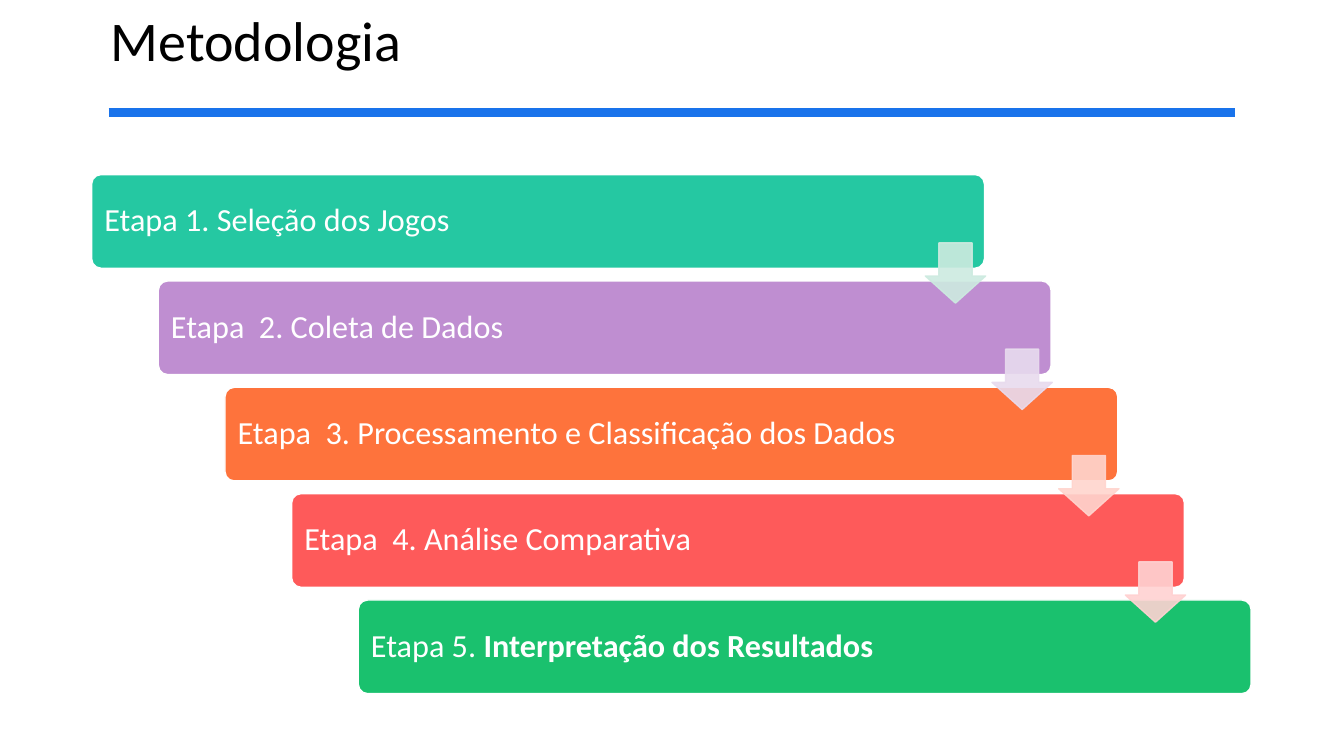
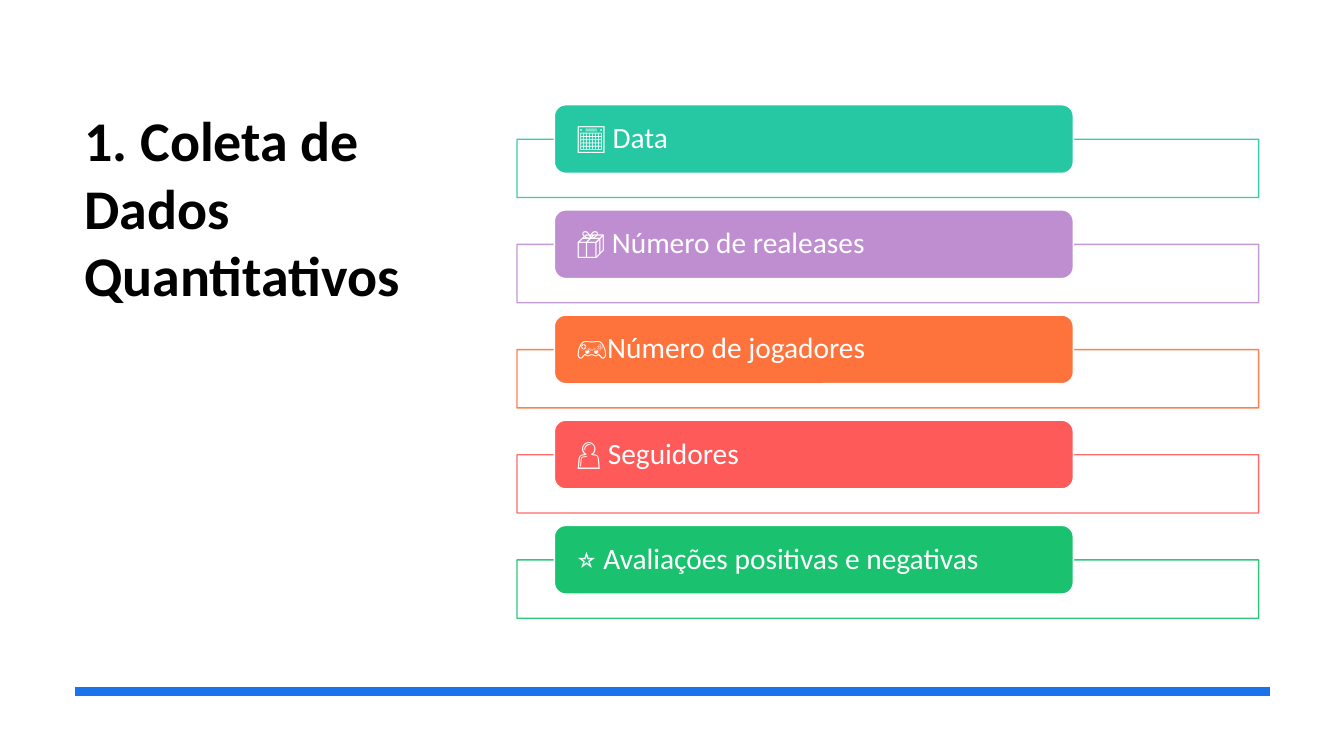
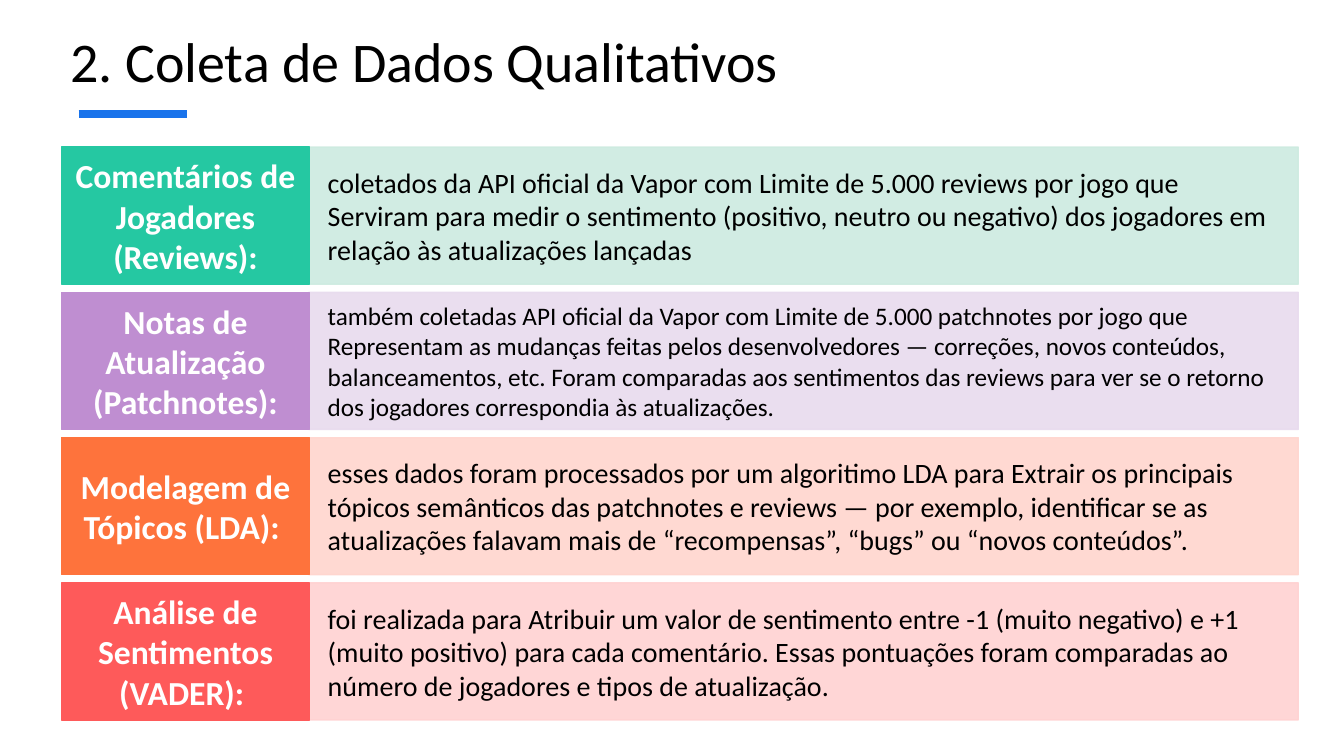
import pptx
import pptx.util
import pptx.dml.color
import pptx.enum.shapes
import pptx.enum.text
import pptx.oxml.ns
import lxml.etree

Cm = pptx.util.Cm
Pt = pptx.util.Pt
Preset = pptx.enum.shapes.MSO_SHAPE
Align = pptx.enum.text.PP_ALIGN
Anchor = pptx.enum.text.MSO_ANCHOR
qn = pptx.oxml.ns.qn

COLORS = {
    "teal": "25C8A2", "purple": "BF8ED1", "orange": "FE733C", "red": "FE5A5A", "green": "1AC16E",
    "pale teal": "CDEBE0", "pale purple": "E8DBEE", "pale orange": "FFD5CE", "pale red": "FFD2D2",
    "rule": "1973EB", "white": "FFFFFF", "black": "000000",
}
SERIES = ["teal", "purple", "orange", "red", "green"]


class Deck:
    """Hold the shared style and the current slide."""

    def __init__(self):
        self.presentation = pptx.Presentation()
        self.presentation.slide_width = Cm(33.87)
        self.presentation.slide_height = Cm(19.05)
        self.slide = None

    def color(self, name):
        return pptx.dml.color.RGBColor.from_string(COLORS[name])

    def add_slide(self, title, box, rule, bold=False):
        layout = self.presentation.slide_layouts.get_by_name("Title Only")
        self.slide = self.presentation.slides.add_slide(layout)
        placeholder = self.slide.shapes.title
        placeholder.left, placeholder.top, placeholder.width, placeholder.height = map(Cm, box)
        self.add_text(placeholder, [(title, bold)], 40, "black", (0.25, 0.13), anchor=Anchor.TOP)
        self.add_rule(*rule)

    def add_rule(self, left, right, top):
        connector = self.slide.shapes.add_connector(
            pptx.enum.shapes.MSO_CONNECTOR.STRAIGHT, Cm(left), Cm(top), Cm(right), Cm(top))
        connector.line.color.rgb = self.color("rule")
        connector.line.width = Pt(6)
        lxml.etree.SubElement(connector._element.spPr, qn("a:effectLst"))

    def add_shape(self, preset, box, fill, line, adjustments=(), opacity=100):
        shape = self.slide.shapes.add_shape(preset, *map(Cm, box))
        shape.shadow.inherit = False
        shape.fill.solid()
        shape.fill.fore_color.rgb = self.color(fill)
        shape.line.color.rgb = self.color(line)
        shape.line.width = Pt(1)
        for index, value in enumerate(adjustments):
            shape.adjustments[index] = value
        if opacity < 100:
            for element in shape._element.spPr.iter(qn("a:srgbClr")):
                alpha = lxml.etree.SubElement(element, qn("a:alpha"))
                alpha.set("val", str(opacity * 1000))
        return shape

    def add_text(self, shape, runs, size, color, insets, align=Align.LEFT, anchor=Anchor.MIDDLE, spacing=1.0):
        frame = shape.text_frame
        frame.word_wrap = True
        frame.auto_size = pptx.enum.text.MSO_AUTO_SIZE.NONE
        frame.vertical_anchor = anchor
        frame.margin_left = frame.margin_right = Cm(insets[0])
        frame.margin_top = frame.margin_bottom = Cm(insets[1])
        paragraph = frame.paragraphs[0]
        paragraph.alignment = align
        paragraph.line_spacing = spacing
        for text, bold in runs:
            run = paragraph.add_run()
            run.text = text
            run.font.name = "Calibri"
            run.font.size = Pt(size)
            run.font.bold = bold
            run.font.color.rgb = self.color(color)


def build_method(deck):
    """Build the staircase of stages."""
    deck.add_slide("Metodologia", (2.54, 0, 28.78, 3.18), (2.74, 31.12, 2.84))
    stages = [
        [("Etapa 1. Seleção dos Jogos", False)],
        [("Etapa  2. Coleta de Dados", False)],
        [("Etapa  3. Processamento e Classificação dos Dados", False)],
        [("Etapa  4. Análise Comparativa", False)],
        [("Etapa 5. ", False), ("Interpretação dos Resultados", True)],
    ]
    step_x, step_y = 1.68, 2.68
    for index, (runs, color) in enumerate(zip(stages, SERIES)):
        box = (2.31 + index * step_x, 4.4 + index * step_y, 22.5, 2.36)
        bar = deck.add_shape(Preset.ROUNDED_RECTANGLE, box, color, "white", [0.1])
        deck.add_text(bar, runs, 23, "white", (0.25, 0.25), spacing=0.9)
    for index, color in enumerate(SERIES[:-1]):
        box = (23.32 + index * step_x, 6.12 + index * step_y, 1.52, 1.52)
        pale = "pale " + color
        deck.add_shape(Preset.DOWN_ARROW, box, pale, pale, [0.55, 0.45], opacity=90)


def build_quantitative(deck):
    """Build the list of quantitative measures."""
    deck.add_slide("1. Coleta de Dados Quantitativos", (1.88, 2.54, 10.21, 11.56), (1.88, 32, 17.42), bold=True)
    measures = ["📅 Data", "📦 Número de realeases", "🎮Número de jogadores",
                "👤 Seguidores", "⭐ Avaliações positivas e negativas"]
    for index, (measure, color) in enumerate(zip(measures, SERIES)):
        offset = index * 2.65
        deck.add_shape(Preset.RECTANGLE, (13.03, 3.51 + offset, 18.69, 1.47), "white", color, opacity=90)
        label = deck.add_shape(Preset.ROUNDED_RECTANGLE, (13.97, 2.64 + offset, 13.08, 1.73), color, "white")
        deck.add_text(label, [(measure, False)], 21, "white", (0.48, 0), spacing=0.9)


def build_qualitative(deck):
    """Build the rows of qualitative sources."""
    deck.add_slide("2. Coleta de Dados Qualitativos", (1.52, 0.53, 28.78, 3.18), (1.98, 4.7, 2.87))
    rows = [
        ("Comentários de Jogadores (Reviews):", 20,
         "coletados da API oficial da Vapor com Limite de 5.000 reviews por jogo que Serviram para medir "
         "o sentimento (positivo, neutro ou negativo) dos jogadores em relação às atualizações lançadas"),
        ("Notas de Atualização (Patchnotes):", 18,
         "também coletadas API oficial da Vapor com Limite de 5.000 patchnotes por jogo que Representam "
         "as mudanças feitas pelos desenvolvedores — correções, novos conteúdos, balanceamentos, etc. "
         "Foram comparadas aos sentimentos das reviews para ver se o retorno dos jogadores correspondia "
         "às atualizações."),
        ("Modelagem de Tópicos (LDA): ", 20,
         "esses dados foram processados por um algoritimo LDA para Extrair os principais tópicos "
         "semânticos das patchnotes e reviews — por exemplo, identificar se as atualizações falavam "
         "mais de “recompensas”, “bugs” ou “novos conteúdos”."),
        ("Análise de Sentimentos (VADER): ", 20,
         "foi realizada para Atribuir um valor de sentimento entre -1 (muito negativo) e +1 (muito "
         "positivo) para cada comentário. Essas pontuações foram comparadas ao número de jogadores "
         "e tipos de atualização."),
    ]
    for index, ((heading, size, body), color) in enumerate(zip(rows, SERIES)):
        top = 3.71 + index * 3.66
        pale = "pale " + color
        detail = deck.add_shape(Preset.RECTANGLE, (7.78, top, 24.94, 3.45), pale, pale, opacity=90)
        deck.add_text(detail, [(body, False)], size, "black", (0.48, 0.1))
        label = deck.add_shape(Preset.RECTANGLE, (1.55, top, 6.25, 3.45), color, color)
        deck.add_text(label, [(heading, True)], 24, "white", (0.33, 0.1), align=Align.CENTER)


def main():
    """Build and save the presentation."""
    deck = Deck()
    build_method(deck)
    build_quantitative(deck)
    build_qualitative(deck)
    deck.presentation.save("out.pptx")


if __name__ == "__main__":
    main()
